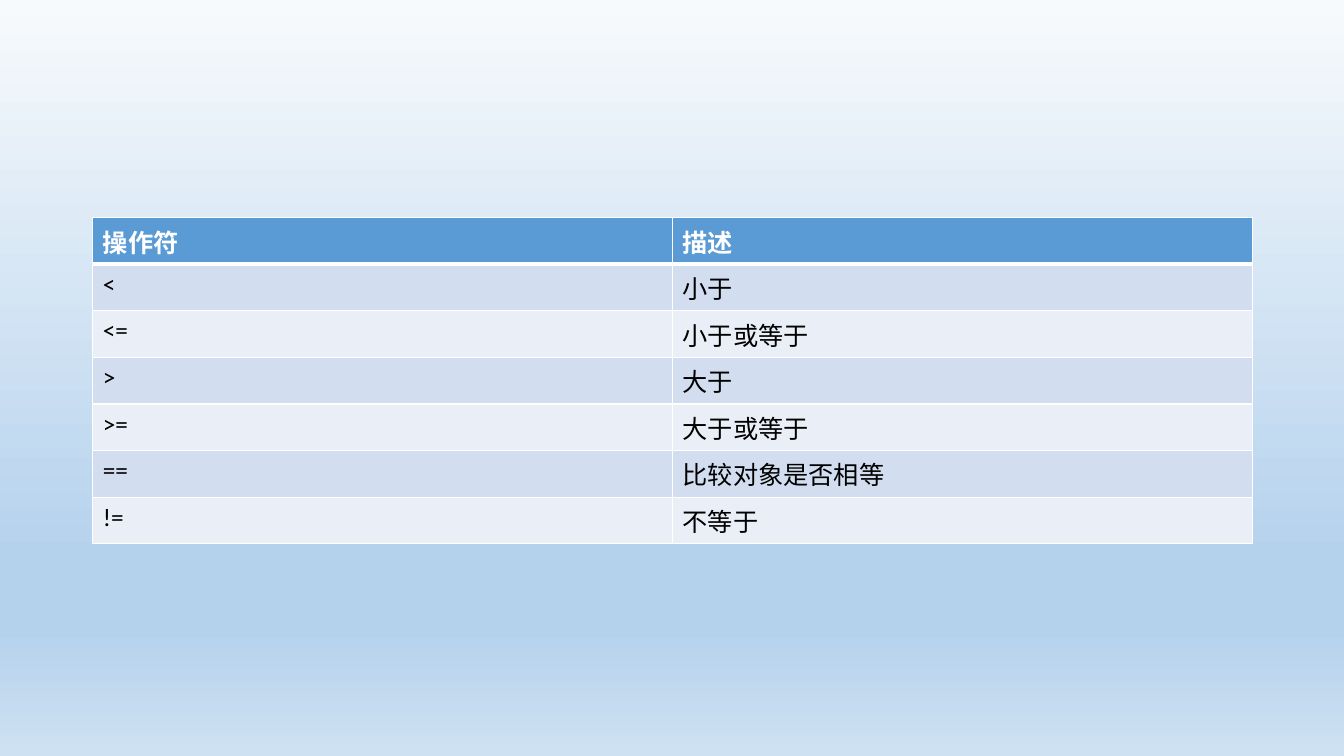
from lxml import etree
from pptx import Presentation
from pptx import util as u
from pptx.dml.color import RGBColor
from pptx.oxml import ns

COLORS = {
    "header": "5B9BD5", "odd": "D2DEEF", "even": "EAEFF7",
    "border": "FFFFFF", "header_text": "FFFFFF", "text": "000000",
    "sky_top": "F7FAFD", "sky_mid": "B5D2EC", "sky_end": "CEE1F2",
}
SKY_STOPS = [(0, "sky_top"), (74, "sky_mid"), (83, "sky_mid"), (100, "sky_end")]
OPERATORS = [
    ("操作符", "描述"),
    ("<", "小于"),
    ("<=", "小于或等于"),
    (">", "大于"),
    (">=", "大于或等于"),
    ("==", "比较对象是否相等"),
    ("!=", "不等于"),
]


def rgb(name):
    """Return the named colour."""
    return RGBColor.from_string(COLORS[name])


def add_color(parent, name):
    """Append a named colour element to an XML parent."""
    etree.SubElement(parent, ns.qn("a:srgbClr"), val=COLORS[name])


def fill_background(s):
    """Give the slide its vertical gradient background."""
    fill = s.background.fill
    fill.gradient()
    fill.gradient_angle = 270
    stops = fill._fill._gradFill.find(ns.qn("a:gsLst"))
    for stop in list(stops):
        stops.remove(stop)
    for percent, name in SKY_STOPS:
        stop = etree.SubElement(stops, ns.qn("a:gs"), pos=str(percent * 1000))
        add_color(stop, name)


def set_borders(cell, top=1, bottom=1):
    """Draw the four cell borders, with widths in points."""
    tcPr = cell._tc.get_or_add_tcPr()
    widths = {"L": 1, "R": 1, "T": top, "B": bottom}
    for i, (side, width) in enumerate(widths.items()):
        ln = etree.Element(ns.qn(f"a:ln{side}"), w=str(u.Pt(width)))
        add_color(etree.SubElement(ln, ns.qn("a:solidFill")), "border")
        tcPr.insert(i, ln)


def format_cell(cell, label, row):
    """Write and style one cell according to its row."""
    header = row == 0
    cell.fill.solid()
    cell.fill.fore_color.rgb = rgb("header" if header else "odd" if row % 2 else "even")
    set_borders(cell, top=3 if row == 1 else 1, bottom=3 if header else 1)
    r = cell.text_frame.paragraphs[0].add_run()
    r.text = label
    r.font.name = "Calibri"
    r.font.size = u.Pt(18)
    r.font.bold = header
    r.font.color.rgb = rgb("header_text" if header else "text")


def add_operator_table(s, left, top, width, height):
    """Place the comparison operator table in the given box."""
    rows, cols = len(OPERATORS), len(OPERATORS[0])
    table = s.shapes.add_table(rows, cols, left, top, width, height).table
    for row, labels in enumerate(OPERATORS):
        for col, label in enumerate(labels):
            format_cell(table.cell(row, col), label, row)


def main():
    """Build and save the slide."""
    prs = Presentation()
    prs.slide_width, prs.slide_height = u.Inches(13.33), u.Inches(7.5)
    s = prs.slides.add_slide(prs.slide_layouts[6])
    fill_background(s)
    add_operator_table(s, u.Inches(0.92), u.Inches(2.16), u.Inches(11.5), u.Inches(2.92))
    prs.save("out.pptx")


main()
